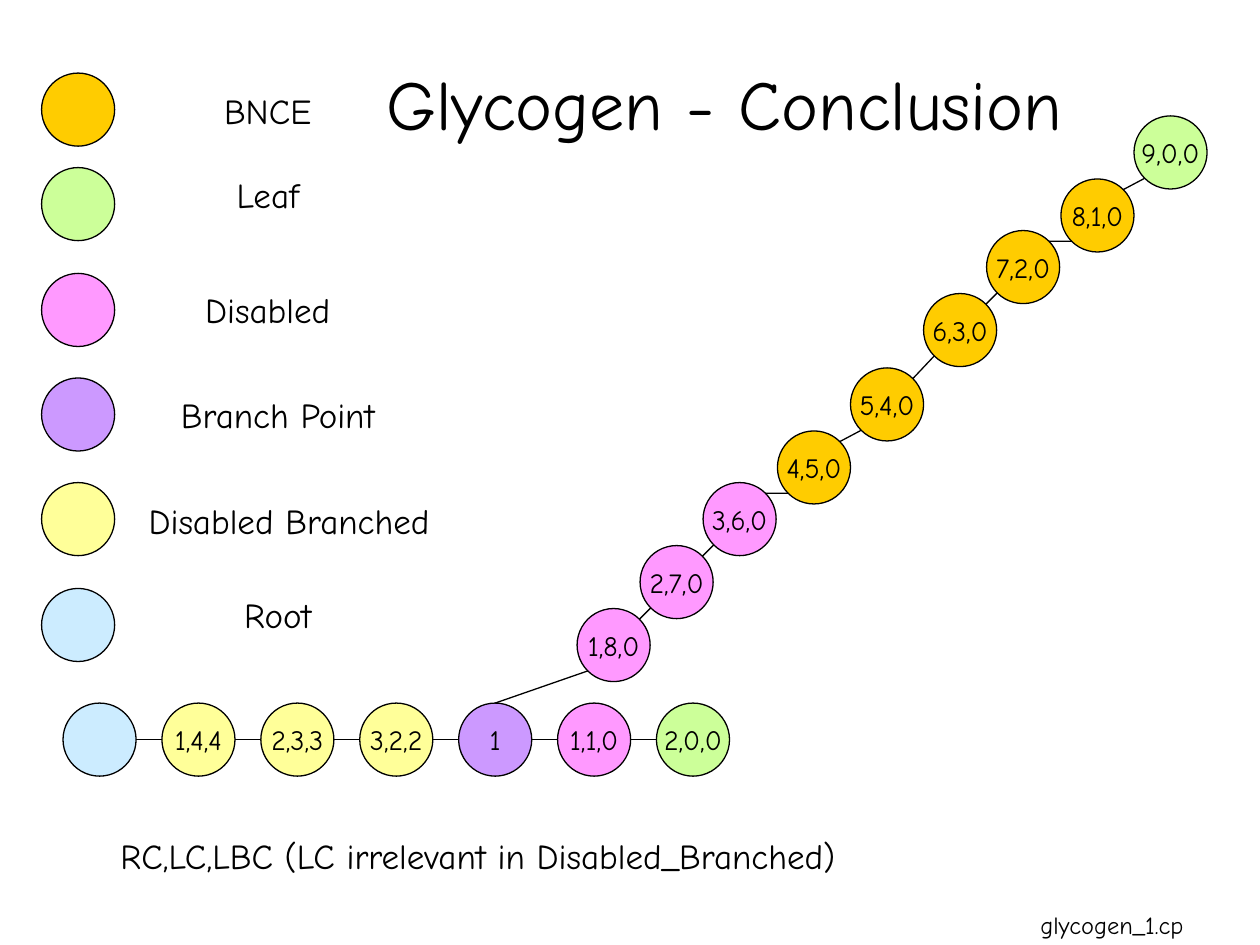
from math import sqrt

from lxml import etree
from pptx import Presentation
from pptx.dml.color import RGBColor
from pptx.enum.shapes import MSO_CONNECTOR, MSO_SHAPE
from pptx.enum.text import MSO_ANCHOR, MSO_AUTO_SIZE, PP_ALIGN
from pptx.oxml.ns import qn
from pptx.util import Inches, Pt

BLACK = RGBColor(0x00, 0x00, 0x00)
WHITE = RGBColor(0xFF, 0xFF, 0xFF)
ORANGE = RGBColor(0xFF, 0xCC, 0x00)
GREEN = RGBColor(0xCC, 0xFF, 0x99)
PINK = RGBColor(0xFF, 0x99, 0xFF)
PURPLE = RGBColor(0xCC, 0x99, 0xFF)
YELLOW = RGBColor(0xFF, 0xFF, 0x99)
BLUE = RGBColor(0xCC, 0xEC, 0xFF)

DIAMETER = 0.58
RADIUS = DIAMETER / 2
DIAGONAL = RADIUS / sqrt(2)
ROW_LEFT, ROW_TOP, ROW_PITCH = 0.5, 5.58, 0.785
BRANCH_INDEX = 4

LEGEND = [
    (ORANGE, 0.58, "BNCE", 1.25, 0.67),
    (GREEN, 1.33, "Leaf", 1.25, 1.33),
    (PINK, 2.17, "Disabled", 1.25, 2.25),
    (PURPLE, 3, "Branch Point", 1.33, 3.08),
    (YELLOW, 3.83, "Disabled Branched", 1.42, 3.92),
    (BLUE, 4.67, "Root", 1.33, 4.67),
]
ROW = [
    ("", BLUE), ("1,4,4", YELLOW), ("2,3,3", YELLOW), ("3,2,2", YELLOW),
    ("1", PURPLE), ("1,1,0", PINK), ("2,0,0", GREEN),
]
BRANCH = [
    ("1,8,0", PINK, 4.58, 4.83),
    ("2,7,0", PINK, 5.08, 4.33),
    ("3,6,0", PINK, 5.58, 3.83),
    ("4,5,0", ORANGE, 6.17, 3.42),
    ("5,4,0", ORANGE, 6.75, 2.92),
    ("6,3,0", ORANGE, 7.33, 2.33),
    ("7,2,0", ORANGE, 7.83, 1.83),
    ("8,1,0", ORANGE, 8.42, 1.42),
    ("9,0,0", GREEN, 9, 0.92),
]


class Deck:
    font = "Comic Neue"
    line_width = Pt(0.75)

    def __init__(self):
        self.prs = Presentation()
        self.prs.slide_width = Inches(10)
        self.prs.slide_height = Inches(7.5)
        self.s = self.prs.slides.add_slide(self.prs.slide_layouts[5])

    def set_text(self, sp, text, size, wrap=False):
        tf = sp.text_frame
        tf.text = text
        tf.word_wrap = wrap
        tf.auto_size = MSO_AUTO_SIZE.NONE
        tf.vertical_anchor = MSO_ANCHOR.MIDDLE
        p = tf.paragraphs[0]
        p.alignment = PP_ALIGN.CENTER
        for r in p.runs:
            r.font.name = self.font
            r.font.size = Pt(size)
            r.font.color.rgb = BLACK

    def title(self, text, x, y, w, h):
        sp = self.s.shapes.title
        sp.left, sp.top, sp.width, sp.height = map(Inches, (x, y, w, h))
        self.set_text(sp, text, 40, wrap=True)

    def label(self, text, x, y, w, h):
        sp = self.s.shapes.add_textbox(*map(Inches, (x, y, w, h)))
        self.set_text(sp, text, 20)

    def shape(self, kind, color, x, y, w, h):
        sp = self.s.shapes.add_shape(kind, *map(Inches, (x, y, w, h)))
        sp.shadow.inherit = False
        sp.fill.solid()
        sp.fill.fore_color.rgb = color
        return sp

    def node(self, color, x, y, text=""):
        sp = self.shape(MSO_SHAPE.OVAL, color, x, y, DIAMETER, DIAMETER)
        sp.line.color.rgb = BLACK
        sp.line.width = self.line_width
        if text:
            self.set_text(sp, text, 16)

    def footer(self, text, x, y, w, h):
        sp = self.shape(MSO_SHAPE.RECTANGLE, WHITE, x, y, w, h)
        sp.line.fill.background()
        self.set_text(sp, text, 14)

    def link(self, x1, y1, x2, y2):
        cx = self.s.shapes.add_connector(
            MSO_CONNECTOR.STRAIGHT, *map(Inches, (x1, y1, x2, y2)))
        cx.line.color.rgb = BLACK
        cx.line.width = self.line_width
        etree.SubElement(cx._element.spPr, qn("a:effectLst"))


def main():
    deck = Deck()
    deck.title("Glycogen - Conclusion", 1.5, 0.19, 8.5, 1.25)

    row_x = [ROW_LEFT + i * ROW_PITCH for i in range(len(ROW))]
    for x, (text, color) in zip(row_x, ROW):
        deck.node(color, x, ROW_TOP, text)
    for x, next_x in zip(row_x, row_x[1:]):
        deck.link(x + DIAMETER, ROW_TOP + RADIUS, next_x, ROW_TOP + RADIUS)

    start = (row_x[BRANCH_INDEX] + RADIUS, ROW_TOP)
    for text, color, x, y in BRANCH:
        deck.node(color, x, y, text)
        cx, cy = x + RADIUS, y + RADIUS
        deck.link(*start, cx - DIAGONAL, cy + DIAGONAL)
        start = (cx + DIAGONAL, cy - DIAGONAL)

    for color, y, text, text_x, text_y in LEGEND:
        deck.node(color, 0.33, y)
        deck.label(text, text_x, text_y, 1.75, 0.42)

    deck.label("RC,LC,LBC (LC irrelevant in Disabled_Branched)",
               0.17, 6.58, 7.25, 0.42)
    deck.footer("glycogen_1.cp", 7.65, 7.18, 2.35, 0.32)
    deck.prs.save("out.pptx")


if __name__ == "__main__":
    main()
